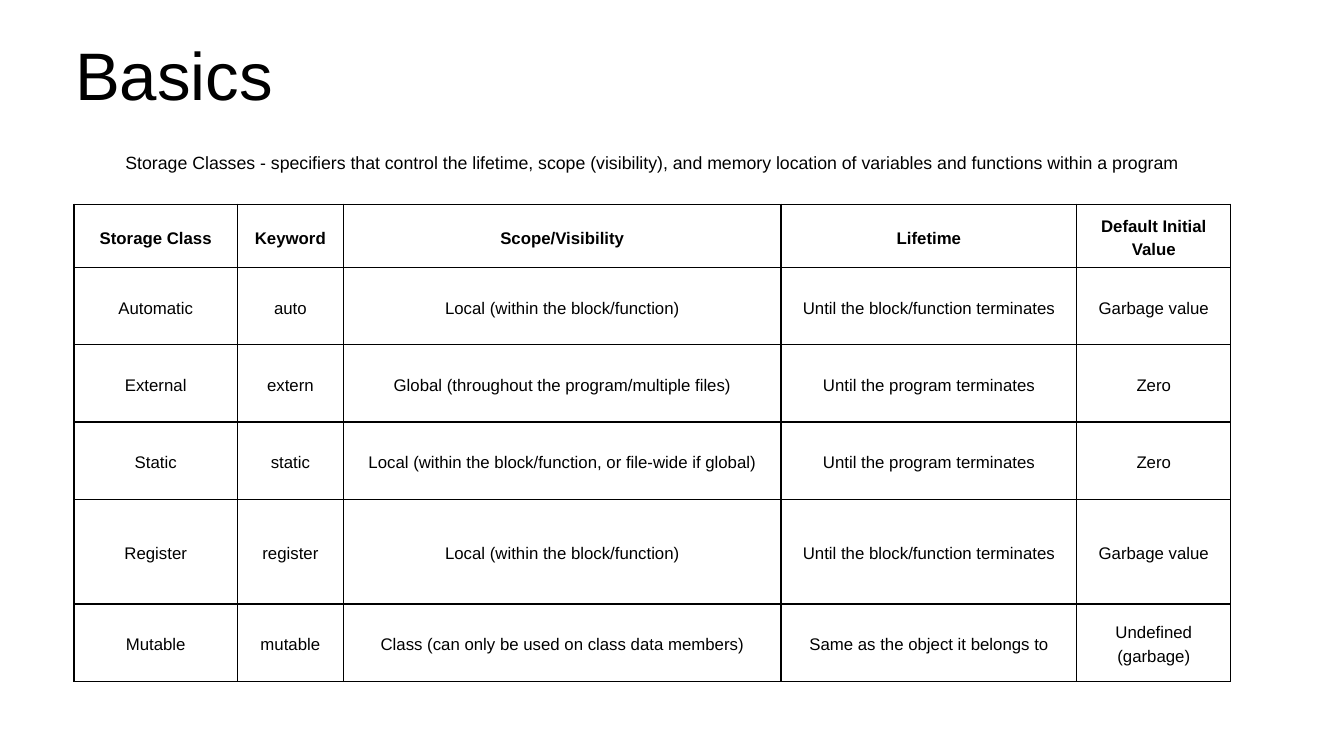
from lxml.etree import SubElement
from pptx import Presentation
from pptx.dml.color import RGBColor
from pptx.enum.text import MSO_ANCHOR, PP_ALIGN
from pptx.oxml.ns import qn
from pptx.util import Cm, Pt

COLORS = {"text": "000000", "border": "000000", "background": "FFFFFF"}
FONT = "Arial"
BORDER_WIDTH = Pt(1.5)
CELL_MARGIN = Cm(0.25)

COLUMN_WIDTHS = [6.17, 4.01, 16.54, 11.18, 5.82]
ROW_HEIGHTS = [2.39, 2.92, 2.92, 2.92, 3.96, 2.92]
STORAGE_CLASSES = [
    ["Storage Class", "Keyword", "Scope/Visibility", "Lifetime", "Default Initial Value"],
    ["Automatic", "auto", "Local (within the block/function)",
     "Until the block/function terminates", "Garbage value"],
    ["External", "extern", "Global (throughout the program/multiple files)",
     "Until the program terminates", "Zero"],
    ["Static", "static", "Local (within the block/function, or file-wide if global)",
     "Until the program terminates", "Zero"],
    ["Register", "register", "Local (within the block/function)",
     "Until the block/function terminates", "Garbage value"],
    ["Mutable", "mutable", "Class (can only be used on class data members)",
     "Same as the object it belongs to", "Undefined (garbage)"],
]


def format_paragraph(paragraph, size, line_spacing, alignment, bold=False):
    paragraph.alignment = alignment
    paragraph.line_spacing = Pt(line_spacing)
    for run in paragraph.runs:
        run.font.name = FONT
        run.font.size = Pt(size)
        run.font.bold = bold
        run.font.color.rgb = RGBColor.from_string(COLORS["text"])


def add_text(slide, text, left, top, width, height, size, line_spacing,
             alignment=PP_ALIGN.LEFT):
    shape = slide.shapes.add_textbox(Cm(left), Cm(top), Cm(width), Cm(height))
    text_frame = shape.text_frame
    text_frame.word_wrap = True
    text_frame.margin_left = text_frame.margin_right = 0
    text_frame.margin_top = text_frame.margin_bottom = 0
    text_frame.text = text
    format_paragraph(text_frame.paragraphs[0], size, line_spacing, alignment)


def add_borders(cell):
    properties = cell._tc.get_or_add_tcPr()
    for side in ("a:lnL", "a:lnR", "a:lnT", "a:lnB"):
        line = SubElement(properties, qn(side), w=str(BORDER_WIDTH))
        fill = SubElement(line, qn("a:solidFill"))
        SubElement(fill, qn("a:srgbClr"), val=COLORS["border"])


def fill_cell(cell, text, bold):
    cell.text_frame.text = text
    cell.vertical_anchor = MSO_ANCHOR.MIDDLE
    cell.margin_left = cell.margin_right = CELL_MARGIN
    cell.margin_top = cell.margin_bottom = CELL_MARGIN
    format_paragraph(cell.text_frame.paragraphs[0], 18, 25.2, PP_ALIGN.CENTER, bold)
    add_borders(cell)
    cell.fill.background()


def add_storage_table(slide, left, top):
    frame = slide.shapes.add_table(
        len(ROW_HEIGHTS), len(COLUMN_WIDTHS), Cm(left), Cm(top),
        Cm(sum(COLUMN_WIDTHS)), Cm(sum(ROW_HEIGHTS)))
    table = frame.table
    table.first_row = table.horz_banding = False
    for column, width in zip(table.columns, COLUMN_WIDTHS):
        column.width = Cm(width)
    for row, height in zip(table.rows, ROW_HEIGHTS):
        row.height = Cm(height)
    for row_index, texts in enumerate(STORAGE_CLASSES):
        for column_index, text in enumerate(texts):
            fill_cell(table.cell(row_index, column_index), text, bold=row_index == 0)


def main():
    presentation = Presentation()
    presentation.slide_width = Cm(50.8)
    presentation.slide_height = Cm(28.58)
    slide = presentation.slides.add_slide(presentation.slide_layouts[6])
    background = slide.background.fill
    background.solid()
    background.fore_color.rgb = RGBColor.from_string(COLORS["background"])

    add_storage_table(slide, 2.8, 7.72)
    add_text(slide, "Basics", 2.84, 0.76, 42.88, 3.38, 72, 100.8)
    add_text(slide, "Storage Classes - specifiers that control the lifetime, scope "
             "(visibility), and memory location of variables and functions within a program",
             2.8, 5.61, 43.7, 0.86, 19, 26.6, PP_ALIGN.CENTER)
    presentation.save("out.pptx")


if __name__ == "__main__":
    main()
